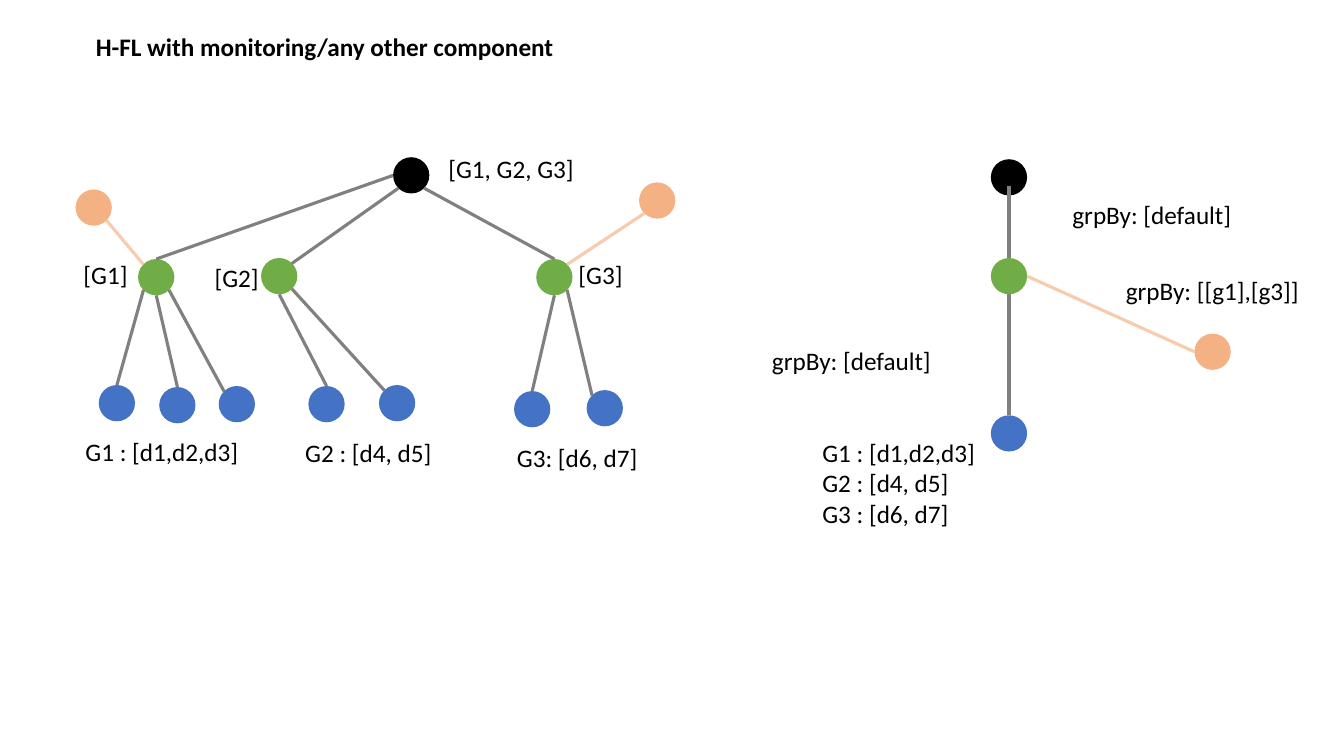
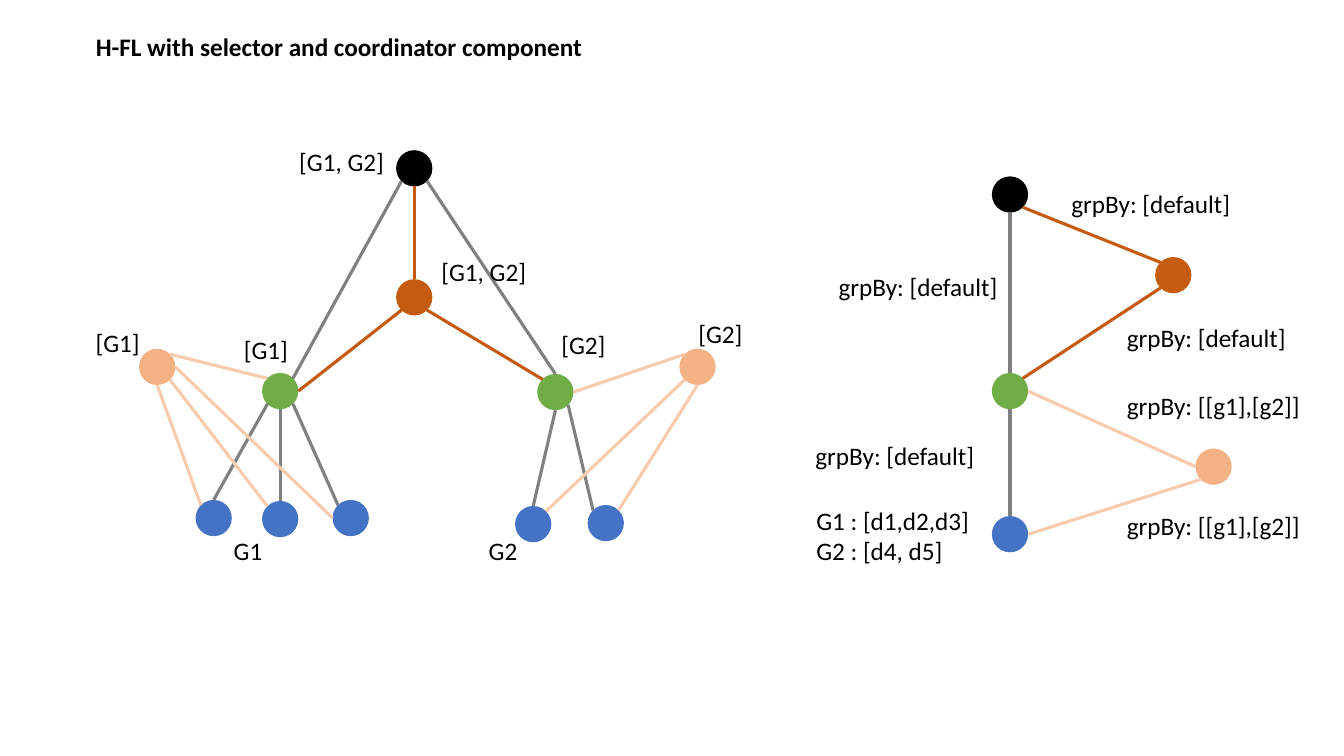
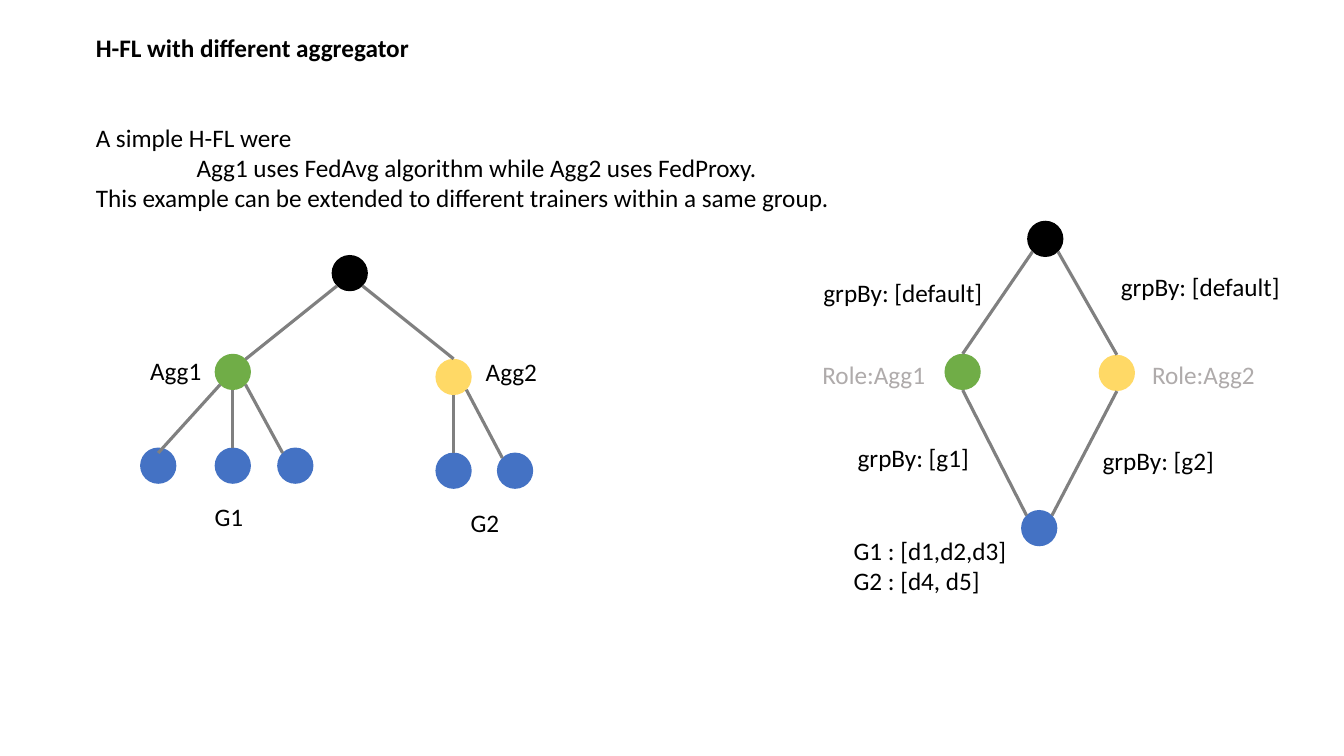
import lxml.etree
import pptx
import pptx.dml.color
import pptx.enum.shapes
import pptx.enum.text
import pptx.oxml.ns
import pptx.util

BLACK, GREEN, BLUE, GOLD = "000000", "70AD47", "4472C4", "FFD966"
PEACH, BLUSH, RUST = "F4B183", "F8CBAD", "C55A11"
GREY, PALE = "808080", "AFABAB"
COLS, ROWS = 133.33, 75
DOT, LINE = 3.6, 3.05
DIAG = 0.7
SITES = {
    "n": (0, -1), "ne": (DIAG, -DIAG), "e": (1, 0), "se": (DIAG, DIAG),
    "s": (0, 1), "sw": (-DIAG, DIAG), "w": (-1, 0), "nw": (-DIAG, -DIAG),
    "low": (0, 0.5), "high": (0, -DIAG),
}


def tint(code):
    """Turn a hex string into a colour."""
    return pptx.dml.color.RGBColor.from_string(code)


def grid(*cells):
    """Turn grid cells of a tenth of an inch into lengths."""
    return [pptx.util.Inches(cell / 10) for cell in cells]


def assign(item, values):
    """Set attributes of an item from a dict."""
    for key, value in values.items():
        setattr(item, key, value)


class Deck:
    """Hold the style and the current slide."""

    font = {"name": "Calibri", "size": pptx.util.Pt(18)}
    frame = {
        "word_wrap": True,
        "auto_size": pptx.enum.text.MSO_AUTO_SIZE.NONE,
        "vertical_anchor": pptx.enum.text.MSO_ANCHOR.TOP,
    }
    para = {
        "alignment": pptx.enum.text.PP_ALIGN.LEFT,
        "space_before": pptx.util.Pt(0),
    }

    def __init__(self):
        """Start a wide deck."""
        self.show = pptx.Presentation()
        self.show.slide_width, self.show.slide_height = grid(COLS, ROWS)

    def page(self, title, top=2.6, layout=5):
        """Add a slide with its title."""
        self.slide = self.show.slides.add_slide(self.show.slide_layouts[layout])
        self.spots = {}
        head = self.slide.shapes.title
        self.place(head, 8.5, top, 53.3, 4)
        self.fill(head, [title], bold=True)

    def place(self, shape, *box):
        """Move a shape to a box on the grid."""
        assign(shape, dict(zip(("left", "top", "width", "height"), grid(*box))))

    def fill(self, shape, lines, ink=BLACK, bold=False):
        """Fill a shape with styled lines."""
        frame = shape.text_frame
        frame.text = "\n".join(lines)
        assign(frame, self.frame)
        for para in frame.paragraphs:
            assign(para, self.para)
            for run in para.runs:
                assign(run.font, {**self.font, "bold": bold})
                run.font.color.rgb = tint(ink)

    def body(self, x, y, wide, lines, indents):
        """Place the body text without bullets."""
        shape = self.slide.placeholders[1]
        self.place(shape, x, y, wide, 4 + LINE * (len(lines) - 1))
        self.fill(shape, lines)
        for para, cells in zip(shape.text_frame.paragraphs, indents):
            props = para._p.get_or_add_pPr()
            props.set("marL", str(grid(cells)[0]))
            props.set("indent", "0")
            lxml.etree.SubElement(props, pptx.oxml.ns.qn("a:buNone"))

    def label(self, x, y, wide, *lines, ink=BLACK):
        """Add a text label."""
        high = 4 + LINE * (len(lines) - 1)
        box = self.slide.shapes.add_textbox(*grid(x, y, wide, high))
        self.fill(box, lines, ink)

    def nodes(self, fill, **spots):
        """Add named dots of one colour."""
        for name, (x, y) in spots.items():
            dot = self.slide.shapes.add_shape(
                pptx.enum.shapes.MSO_SHAPE.OVAL, *grid(x, y, DOT, DOT))
            dot.shadow.inherit = False
            dot.fill.solid()
            dot.fill.fore_color.rgb = tint(fill)
            dot.line.fill.background()
            self.spots[name] = (x + DOT / 2, y + DOT / 2)

    def end(self, text):
        """Find the grid point of a node's site, as in 'root.sw'."""
        name, site = text.split(".")
        return [c + s * DOT / 2 for c, s in zip(self.spots[name], SITES[site])]

    def links(self, ink, *pairs):
        """Join pairs of node sites by lines of one colour."""
        for pair in pairs:
            start, stop = map(self.end, pair.split())
            line = self.slide.shapes.add_connector(
                pptx.enum.shapes.MSO_CONNECTOR.STRAIGHT, *grid(*start, *stop))
            line.line.width = pptx.util.Pt(2.25)
            line.line.color.rgb = tint(ink)
            lxml.etree.SubElement(
                line._element.spPr, pptx.oxml.ns.qn("a:effectLst"))


deck = Deck()

deck.page("H-FL with monitoring/any other component")
deck.nodes(BLACK, root=(39, 15.6), top=(98.3, 15.8))
deck.nodes(GREEN, g1=(13.7, 25.7), g2=(25.9, 25.6), g3=(53.2, 25.7),
           mid=(98.3, 25.6))
deck.nodes(BLUE, d1=(9.8, 38.2), d2=(15.8, 38.4), d3=(21.7, 38.3),
           d4=(30.6, 38.3), d5=(37.6, 38.2), d6=(51, 38.8), d7=(58.2, 38.7),
           leaf=(98.3, 41.2))
deck.nodes(PEACH, m1=(7.5, 18.8), m3=(63.4, 18.1), watch=(118.5, 33.1))
deck.links(GREY, "root.w g1.n", "root.sw g2.ne", "root.se g3.n",
           "g1.sw d1.n", "g1.s d2.n", "g1.se d3.nw",
           "g2.s d4.n", "g2.se d5.nw", "g3.s d6.n", "g3.se d7.nw",
           "top.low mid.n", "mid.s leaf.n")
deck.links(BLUSH, "m1.se g1.nw", "g3.ne m3.sw", "watch.w mid.e")
deck.label(43.5, 14.7, 15.2, "[G1, G2, G3]")
deck.label(7.3, 25.2, 11.8, "[G1]")
deck.label(20.3, 25.5, 11.8, "[G2]")
deck.label(56.4, 25.2, 11.8, "[G3]")
deck.label(7.5, 42.8, 19.7, "G1 : [d1,d2,d3]")
deck.label(29.3, 42.9, 15, "G2 : [d4, d5]")
deck.label(50.3, 43.4, 14.3, "G3: [d6, d7]")
deck.label(105.4, 19.3, 19.8, "grpBy: [default]")
deck.label(110.7, 26.8, 19.8, "grpBy: [[g1],[g3]]")
deck.label(75.6, 33.8, 24.5, "grpBy: [default]")
deck.label(80.6, 42.9, 17.6,
           "G1 : [d1,d2,d3]", "G2 : [d4, d5]", "G3 : [d6, d7]")

deck.page("H-FL with selector and coordinator component")
deck.nodes(BLACK, root=(39.3, 14.9), top=(98.4, 17.5))
deck.nodes(GREEN, g1=(26, 37), g2=(53.3, 37.1), mid=(98.4, 37))
deck.nodes(BLUE, d1=(19.4, 49.6), d2=(26, 49.7), d3=(33, 49.6),
           d4=(51.1, 50.2), d5=(58.3, 50.1), leaf=(98.4, 51.2))
deck.nodes(PEACH, s1=(13.8, 34.6), s2=(67.4, 34.6), pick=(118.6, 44.5))
deck.nodes(RUST, coord=(39.3, 27.7), lead=(114.6, 25.5))
deck.links(GREY, "root.sw g1.ne", "root.se g2.n",
           "g1.sw d1.n", "g1.s d2.n", "g1.se d3.nw",
           "g2.s d4.n", "g2.se d5.nw", "top.s mid.n", "mid.s leaf.n")
deck.links(BLUSH, "g1.nw s1.ne", "s1.s d1.nw", "s1.se d2.nw", "s1.e d3.w",
           "g2.e s2.nw", "s2.sw d4.ne", "s2.s d5.ne",
           "pick.w mid.e", "pick.sw leaf.e")
deck.links(RUST, "coord.n root.s", "g1.e coord.sw", "g2.nw coord.se",
           "lead.nw top.se", "lead.sw mid.ne")
deck.label(28.7, 14, 11.8, "[G1, G2]")
deck.label(42.8, 24.9, 11.8, "[G1, G2]")
deck.label(8.5, 32, 11.8, "[G1]")
deck.label(23.2, 32.7, 11.8, "[G1]")
deck.label(54.7, 32.2, 11.8, "[G2]")
deck.label(68.3, 31.1, 11.8, "[G2]")
deck.label(22.2, 52.6, 11.8, "G1")
deck.label(47.5, 52.6, 11.8, "G2")
deck.label(105.3, 18.2, 19.8, "grpBy: [default]")
deck.label(82.2, 26.4, 19.8, "grpBy: [default]")
deck.label(110.8, 31.5, 19.8, "grpBy: [default]")
deck.label(110.8, 38.2, 19.8, "grpBy: [[g1],[g2]]")
deck.label(79.9, 43.2, 20.2, "grpBy: [default]")
deck.label(110.8, 50.1, 19.8, "grpBy: [[g1],[g2]]")
deck.label(80, 49.6, 17.6, "G1 : [d1,d2,d3]", "G2 : [d4, d5]")

deck.page("H-FL with different aggregator", top=2.7, layout=1)
deck.body(8.5, 11.6, 109.8, [
    "A simple H-FL were",
    "Agg1 uses FedAvg algorithm while Agg2 uses FedProxy.",
    "This example can be extended to different trainers within a same group.",
], indents=(0, 10, 0))
deck.nodes(BLACK, root=(32.9, 25.3), top=(101.9, 21.9))
deck.nodes(GREEN, agg1=(21.3, 35.1), role1=(93.7, 35.1))
deck.nodes(GOLD, agg2=(43.2, 35.6), role2=(109, 35.2))
deck.nodes(BLUE, d1=(13.9, 44.4), d2=(21.3, 44.4), d3=(27.5, 44.4),
           d4=(43.2, 44.9), d5=(49.3, 44.9), leaf=(101.3, 50.6))
deck.links(GREY, "root.sw agg1.ne", "root.se agg2.n",
           "agg1.sw d1.high", "agg1.s d2.n", "agg1.se d3.nw",
           "agg2.s d4.n", "agg2.se d5.nw",
           "top.sw role1.n", "top.se role2.n",
           "role1.s leaf.nw", "role2.s leaf.ne")
deck.label(13.9, 34.8, 8.8, "Agg1")
deck.label(47.2, 34.9, 8.8, "Agg2")
deck.label(20.3, 49.2, 11.8, "G1")
deck.label(45.7, 49.8, 11.8, "G2")
deck.label(80.7, 27, 19.8, "grpBy: [default]")
deck.label(110.2, 26.4, 19.8, "grpBy: [default]")
deck.label(80.6, 35.2, 13.5, "Role:Agg1", ink=PALE)
deck.label(113.3, 35.2, 13.5, "Role:Agg2", ink=PALE)
deck.label(84.1, 43.4, 20.2, "grpBy: [g1]")
deck.label(108.4, 43.7, 20.2, "grpBy: [g2]")
deck.label(83.7, 52.6, 17.6, "G1 : [d1,d2,d3]", "G2 : [d4, d5]")

deck.show.save("out.pptx")
